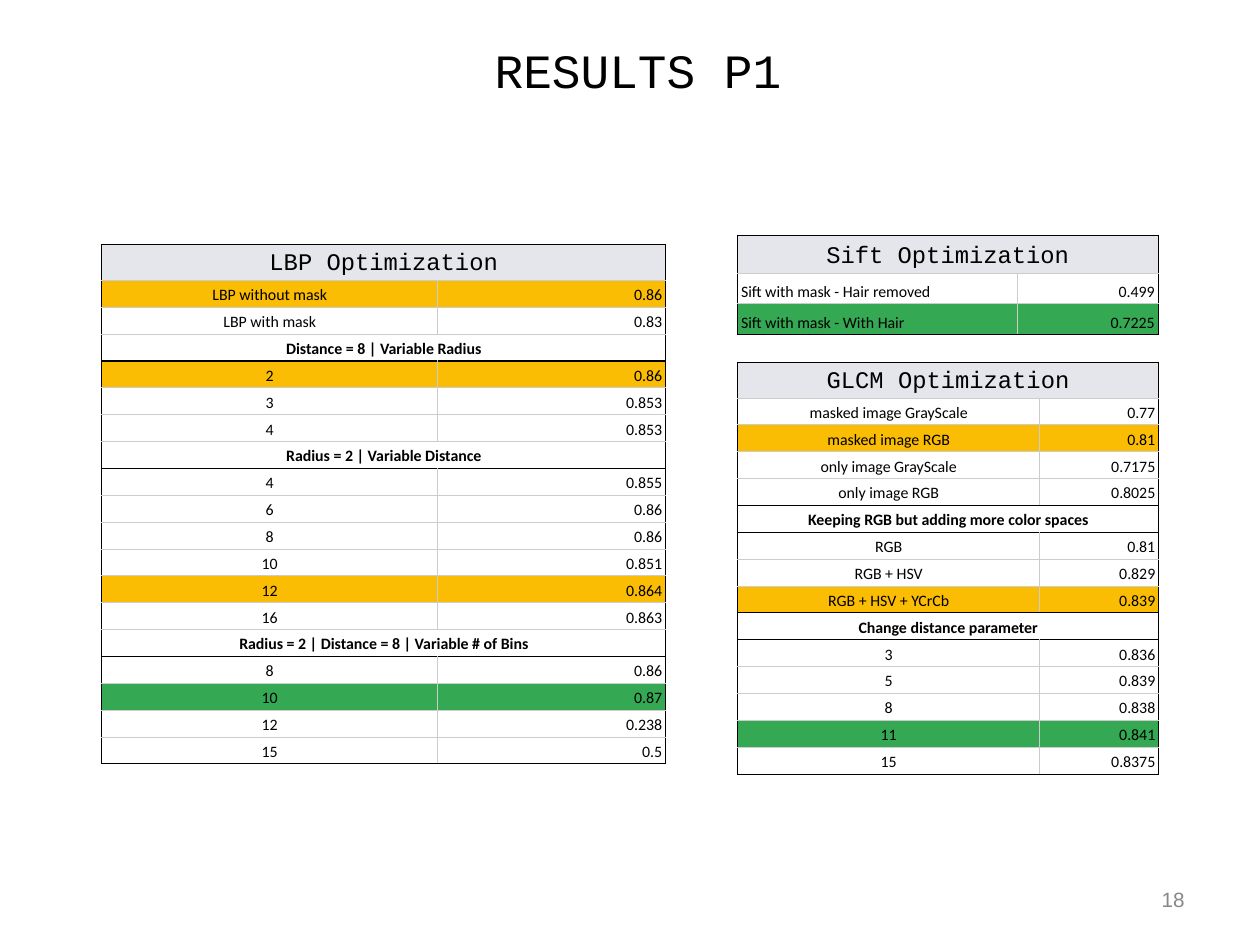
from dataclasses import dataclass
from typing import NamedTuple

from lxml.etree import SubElement
from pptx import Presentation
from pptx.dml.color import RGBColor
from pptx.enum.text import MSO_ANCHOR, MSO_AUTO_SIZE, PP_ALIGN
from pptx.oxml.ns import qn
from pptx.util import Inches, Mm, Pt


@dataclass(frozen=True)
class Theme:
    """Colours, fonts and type sizes of the slide."""
    ink: str = "000000"
    rule: str = "CCCCCC"
    header: str = "E4E6EB"
    good: str = "FBBC04"
    best: str = "34A853"
    number: str = "888888"
    mono: str = "Courier New"
    body: str = "Calibri"
    sans: str = "Arial"
    title_pt: float = 30.1
    header_pt: float = 15
    number_pt: float = 13
    body_pt: float = 10
    line_pt: float = 0.75


class Row(NamedTuple):
    """One result, or a section heading when it has no value."""
    label: str
    value: str = ""
    fill: str = ""


@dataclass(frozen=True)
class ResultTable:
    """A results table; lengths are percentages of the slide's size."""
    title: str
    left: float
    top: float
    cols: tuple[float, float]
    rows: list[Row]
    header_row: float = 2.66
    body_row: float = 2.66
    label_align: PP_ALIGN = PP_ALIGN.CENTER
    boxed_sections: bool = False


T = Theme()
WIDTH, HEIGHT = Mm(280), Mm(210)

LBP = ResultTable("LBP Optimization", 8.08, 25.88, (26.66, 18.1), [
    Row("LBP without mask", "0.86", T.good),
    Row("LBP with mask", "0.83"),
    Row("Distance = 8 | Variable Radius"),
    Row("2", "0.86", T.good),
    Row("3", "0.853"),
    Row("4", "0.853"),
    Row("Radius = 2 | Variable Distance"),
    Row("4", "0.855"),
    Row("6", "0.86"),
    Row("8", "0.86"),
    Row("10", "0.851"),
    Row("12", "0.864", T.good),
    Row("16", "0.863"),
    Row("Radius = 2 | Distance = 8 | Variable # of Bins"),
    Row("8", "0.86"),
    Row("10", "0.87", T.best),
    Row("12", "0.238"),
    Row("15", "0.5"),
])
GLCM = ResultTable("GLCM Optimization", 58.53, 38.33, (24, 9.44), [
    Row("masked image GrayScale", "0.77"),
    Row("masked image RGB", "0.81", T.good),
    Row("only image GrayScale", "0.7175"),
    Row("only image RGB", "0.8025"),
    Row("Keeping RGB but adding more color spaces"),
    Row("RGB", "0.81"),
    Row("RGB + HSV", "0.829"),
    Row("RGB + HSV + YCrCb", "0.839", T.good),
    Row("Change distance parameter"),
    Row("3", "0.836"),
    Row("5", "0.839"),
    Row("8", "0.838"),
    Row("11", "0.841", T.best),
    Row("15", "0.8375"),
], boxed_sections=True)
SIFT = ResultTable("Sift Optimization", 58.53, 24.91, (22.23, 11.16), [
    Row("Sift with mask - Hair removed", "0.499"),
    Row("Sift with mask - With Hair", "0.7225", T.best),
], header_row=3.99, body_row=3.26, label_align=PP_ALIGN.LEFT)


def across(percent: float) -> int:
    """Return a share of the slide's width."""
    return round(WIDTH * percent / 100)


def down(percent: float) -> int:
    """Return a share of the slide's height."""
    return round(HEIGHT * percent / 100)


def write(tf, text: str, font: str, size: float, align: PP_ALIGN,
          color: str = T.ink, bold: bool = False, spacing: float = 1.0) -> None:
    """Write one formatted run in the first paragraph."""
    p = tf.paragraphs[0]
    p.alignment = align
    p.line_spacing = spacing
    r = p.add_run()
    r.text = text
    r.font.name = font
    r.font.size = Pt(size)
    r.font.bold = bold
    r.font.color.rgb = RGBColor.from_string(color)


def place(s, left: float, top: float, width: float, height: float) -> None:
    """Place a text shape and set up its frame."""
    s.left, s.top = across(left), down(top)
    s.width, s.height = across(width), down(height)
    tf = s.text_frame
    tf.word_wrap = True
    tf.auto_size = MSO_AUTO_SIZE.NONE
    tf.vertical_anchor = MSO_ANCHOR.MIDDLE
    tf.margin_left = tf.margin_right = Inches(0.11)
    tf.margin_top = tf.margin_bottom = Inches(0.06)


def style_cell(cell, fill: str, edges: dict[str, str]) -> None:
    """Set the margins, borders and fill of a cell."""
    cell.vertical_anchor = MSO_ANCHOR.BOTTOM
    cell.margin_left = cell.margin_right = Pt(2.25)
    cell.margin_top = cell.margin_bottom = Pt(1.5)
    props = cell._tc.get_or_add_tcPr()
    for side in "LRTB":
        ln = SubElement(props, qn(f"a:ln{side}"), w=str(Pt(T.line_pt)))
        solid = SubElement(ln, qn("a:solidFill"))
        SubElement(solid, qn("a:srgbClr"), val=edges[side])
    if fill:
        cell.fill.solid()
        cell.fill.fore_color.rgb = RGBColor.from_string(fill)
    else:
        cell.fill.background()


def add_results(slide, spec: ResultTable) -> None:
    """Draw a results table with its header, sections and values."""
    rows = [Row(spec.title, fill=T.header), *spec.rows]
    heights = [spec.header_row] + [spec.body_row] * len(spec.rows)
    table = slide.shapes.add_table(
        len(rows), 2, across(spec.left), down(spec.top),
        across(sum(spec.cols)), down(sum(heights))).table
    table.first_row = table.horz_banding = False
    for col, width in zip(table.columns, spec.cols):
        col.width = across(width)

    section = [i > 0 and not row.value for i, row in enumerate(rows)]
    inner = [T.ink if above or (below and spec.boxed_sections) else T.rule
             for above, below in zip(section, section[1:])]
    levels = [T.ink, *inner, T.ink]

    for i, row in enumerate(rows):
        table.rows[i].height = down(heights[i])
        label, value = table.cell(i, 0), table.cell(i, 1)
        middle = T.rule if row.value else T.ink
        for cell, left, right in ((label, T.ink, middle), (value, middle, T.ink)):
            style_cell(cell, row.fill, {"L": left, "R": right,
                                        "T": levels[i], "B": levels[i + 1]})
        font, size = (T.body, T.body_pt) if i else (T.mono, T.header_pt)
        align = spec.label_align if row.value else PP_ALIGN.CENTER
        write(label.text_frame, row.label, font, size, align,
              bold=section[i], spacing=1.15)
        if row.value:
            write(value.text_frame, row.value, T.body, T.body_pt,
                  PP_ALIGN.RIGHT, spacing=1.15)
        else:
            label.merge(value)


def main() -> None:
    """Build and save the results slide."""
    prs = Presentation()
    prs.slide_width, prs.slide_height = WIDTH, HEIGHT
    slide = prs.slides.add_slide(prs.slide_layouts[5])
    title = slide.shapes.title
    place(title, 5.63, 2.42, 90.02, 9.92)
    write(title.text_frame, "RESULTS P1", T.mono, T.title_pt, PP_ALIGN.CENTER)
    number = slide.shapes.add_textbox(0, 0, 0, 0)
    place(number, 71.69, 92.62, 23.32, 5.32)
    write(number.text_frame, "18", T.sans, T.number_pt, PP_ALIGN.RIGHT,
          T.number, spacing=0.93)
    for spec in (LBP, GLCM, SIFT):
        add_results(slide, spec)
    prs.save("out.pptx")


if __name__ == "__main__":
    main()
